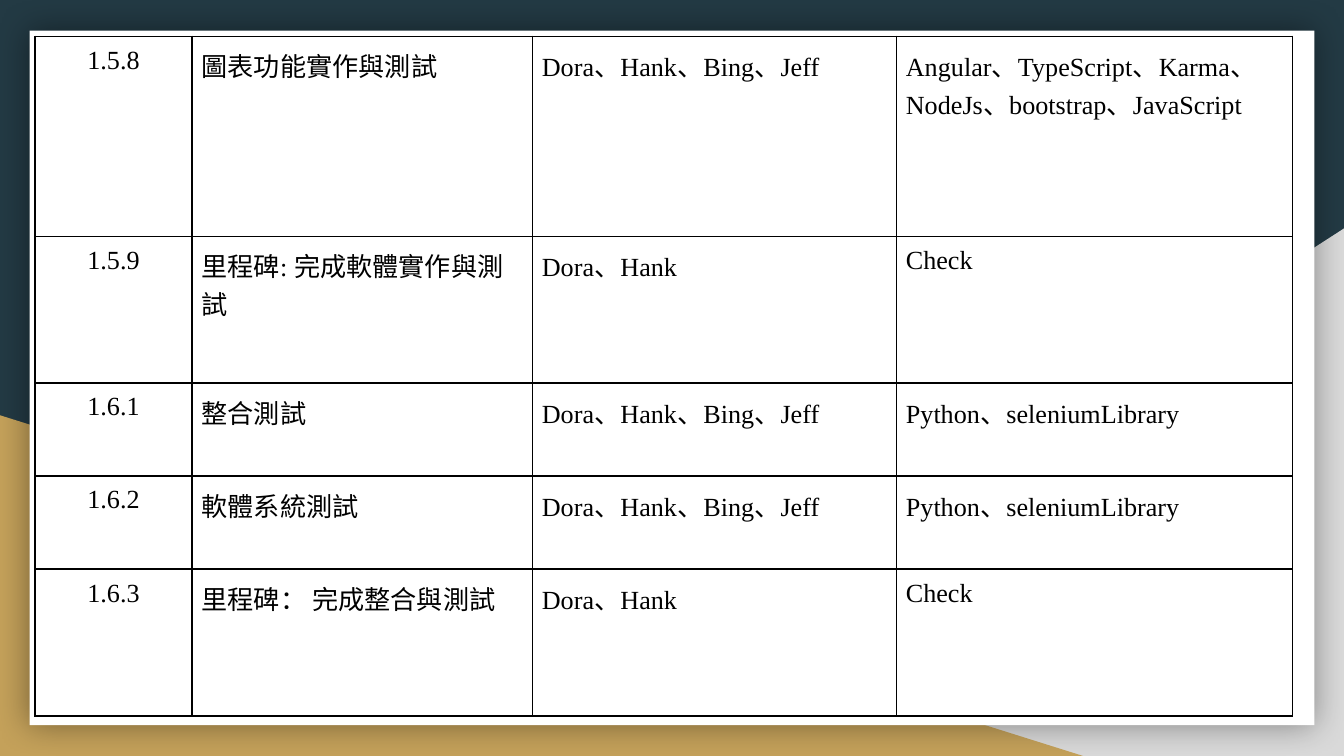
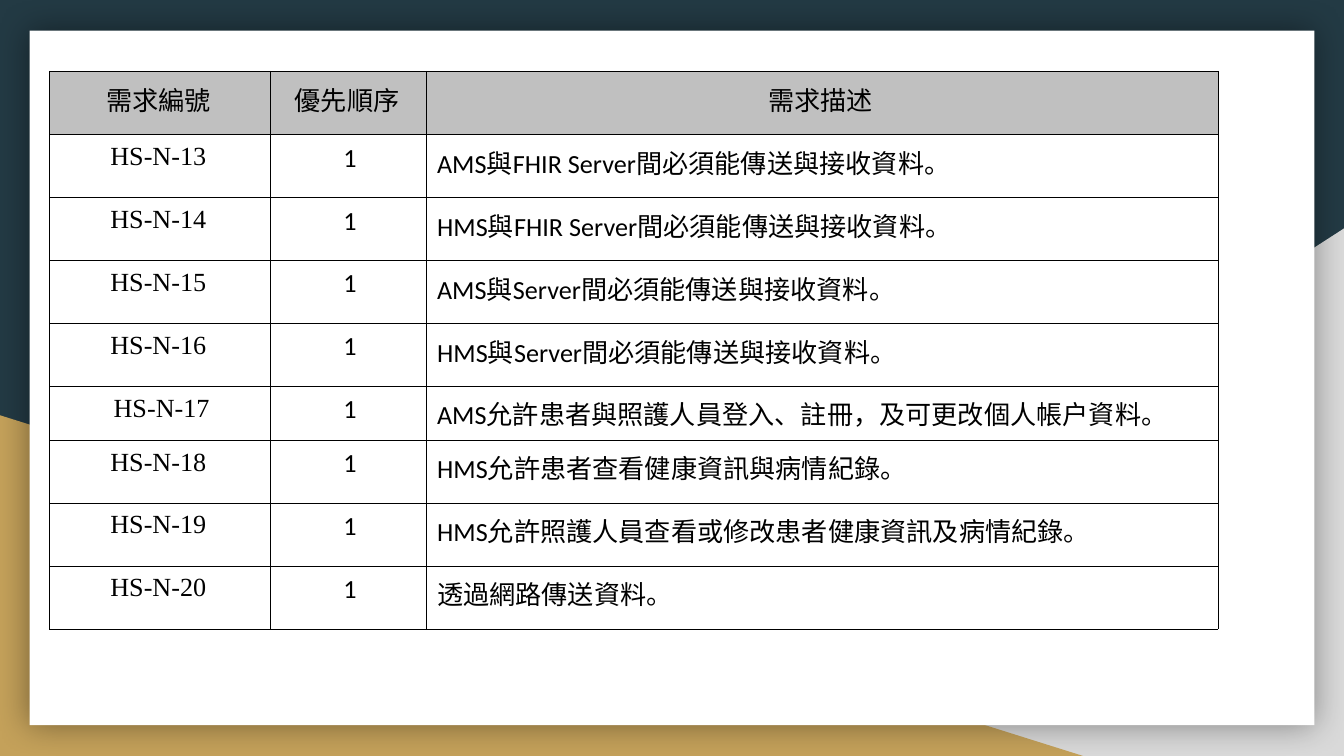
from lxml.etree import SubElement
from pptx import Presentation
from pptx.dml.color import RGBColor
from pptx.enum.shapes import MSO_SHAPE
from pptx.enum.text import PP_ALIGN
from pptx.oxml.ns import qn
from pptx.util import Cm, Pt

COLORS = {
    "navy": "233A44",
    "gray": "D9D9D9",
    "gold": "C4A15A",
    "white": "FFFFFF",
    "black": "000000",
    "header": "C0C0C0",
}
SERIF = "Times New Roman"
SANS = "Calibri"
CJK = "Noto Sans CJK TC"

BACKDROP = [
    (MSO_SHAPE.RIGHT_TRIANGLE, "gray", (9.96, 4.32, 15.44, 9.97)),
    (MSO_SHAPE.RIGHT_TRIANGLE, "gold", (0, 7.85, 20.47, 6.44)),
    (MSO_SHAPE.RECTANGLE, "white", (0.56, 0.58, 24.28, 13.13)),
]

TEAM = "Dora、Hank、Bing、Jeff"
PAIR = "Dora、Hank"
TEST_TOOLS = "Python、seleniumLibrary"
work_items = [
    ["1.5.8", "圖表功能實作與測試", TEAM,
     "Angular、TypeScript、Karma、NodeJs、bootstrap、JavaScript"],
    ["1.5.9", "里程碑: 完成軟體實作與測試", PAIR, "Check"],
    ["1.6.1", "整合測試", TEAM, TEST_TOOLS],
    ["1.6.2", "軟體系統測試", TEAM, TEST_TOOLS],
    ["1.6.3", "里程碑： 完成整合與測試", PAIR, "Check"],
]

requirements = [
    ["需求編號 ", "優先順序 ", "需求描述 "],
    ["HS-N-13 ", "1", "AMS與FHIR Server間必須能傳送與接收資料。"],
    ["HS-N-14 ", "1", "HMS與FHIR Server間必須能傳送與接收資料。"],
    ["HS-N-15 ", "1", "AMS與Server間必須能傳送與接收資料。"],
    ["HS-N-16 ", "1", "HMS與Server間必須能傳送與接收資料。"],
    ["HS-N-17", "1", "AMS允許患者與照護人員登入、註冊，及可更改個人帳戶資料。"],
    ["HS-N-18 ", "1", "HMS允許患者查看健康資訊與病情紀錄。"],
    ["HS-N-19 ", "1", "HMS允許照護人員查看或修改患者健康資訊及病情紀錄。"],
    ["HS-N-20 ", "1", "透過網路傳送資料。"],
]

TABLES = [
    {
        "rows": work_items, "at": (0.66, 0.69), "header": False,
        "widths": [2.97, 6.43, 6.88, 7.49],
        "heights": [3.78, 2.77, 1.76, 1.76, 2.77],
        "margins": (0.18, 0.18, 0.18, 0.18),
        "fonts": [SERIF] * 4, "centered": 1, "spacing": None, "border": 1,
    },
    {
        "rows": requirements, "at": (0.94, 1.35), "header": True,
        "widths": [4.18, 2.94, 14.96],
        "heights": [1.19] * 5 + [1.02] + [1.19] * 3,
        "margins": (0.2, 0.1, 0.15, 0),
        "fonts": [SERIF, SANS, SANS], "centered": 2, "spacing": 1.08, "border": 0.5,
    },
]


def set_border(cell, width):
    properties = cell._tc.get_or_add_tcPr()
    for side in ("a:lnL", "a:lnR", "a:lnT", "a:lnB"):
        line = SubElement(properties, qn(side), w=str(Pt(width)))
        fill = SubElement(line, qn("a:solidFill"))
        SubElement(fill, qn("a:srgbClr"), val=COLORS["black"])


def format_text(paragraph, font_name, centered, spacing):
    paragraph.alignment = PP_ALIGN.CENTER if centered else PP_ALIGN.LEFT
    if spacing:
        paragraph.line_spacing = spacing
    for span in paragraph.runs:
        span.font.size = Pt(14)
        span.font.name = font_name
        span.font.color.rgb = RGBColor.from_string(COLORS["black"])
        SubElement(span.font._element, qn("a:ea"), typeface=CJK)


deck = Presentation()
deck.slide_width = Cm(25.4)
deck.slide_height = Cm(14.29)

for layout in TABLES:
    page = deck.slides.add_slide(deck.slide_layouts[6])
    page.background.fill.solid()
    page.background.fill.fore_color.rgb = RGBColor.from_string(COLORS["navy"])

    for kind, color, place in BACKDROP:
        box = page.shapes.add_shape(kind, *[Cm(length) for length in place])
        box.shadow.inherit = False
        box.fill.solid()
        box.fill.fore_color.rgb = RGBColor.from_string(COLORS[color])
        box.line.fill.background()
        if color == "gray":
            box._element.spPr.find(qn("a:xfrm")).set("flipH", "1")
        if color == "white":
            effects = box._element.spPr.find(qn("a:effectLst"))
            shadow = SubElement(effects, qn("a:outerShdw"), blurRad=str(Pt(18)),
                                dist="0", dir="0", algn="ctr", rotWithShape="0")
            shade = SubElement(shadow, qn("a:srgbClr"), val=COLORS["black"])
            SubElement(shade, qn("a:alpha"), val="40000")

    left, top = layout["at"]
    widths, heights = layout["widths"], layout["heights"]
    table = page.shapes.add_table(
        len(heights), len(widths), Cm(left), Cm(top), Cm(sum(widths)), Cm(sum(heights))
    ).table
    table.first_row = layout["header"]
    table.horz_banding = False
    for column, width in zip(table.columns, widths):
        column.width = Cm(width)
    for row, height in zip(table.rows, heights):
        row.height = Cm(height)

    for row_index, texts in enumerate(layout["rows"]):
        is_header = layout["header"] and row_index == 0
        for column_index, text in enumerate(texts):
            cell = table.cell(row_index, column_index)
            cell.margin_left, cell.margin_top, cell.margin_right, cell.margin_bottom = [
                Cm(margin) for margin in layout["margins"]
            ]
            set_border(cell, layout["border"])
            if is_header:
                cell.fill.solid()
                cell.fill.fore_color.rgb = RGBColor.from_string(COLORS["header"])
            else:
                cell.fill.background()
            cell.text_frame.text = text
            paragraph = cell.text_frame.paragraphs[0]
            font_name = CJK if is_header else layout["fonts"][column_index]
            centered = is_header or column_index < layout["centered"]
            format_text(paragraph, font_name, centered, layout["spacing"])
            if is_header:
                paragraph.runs[0].font.bold = False

deck.save("out.pptx")
